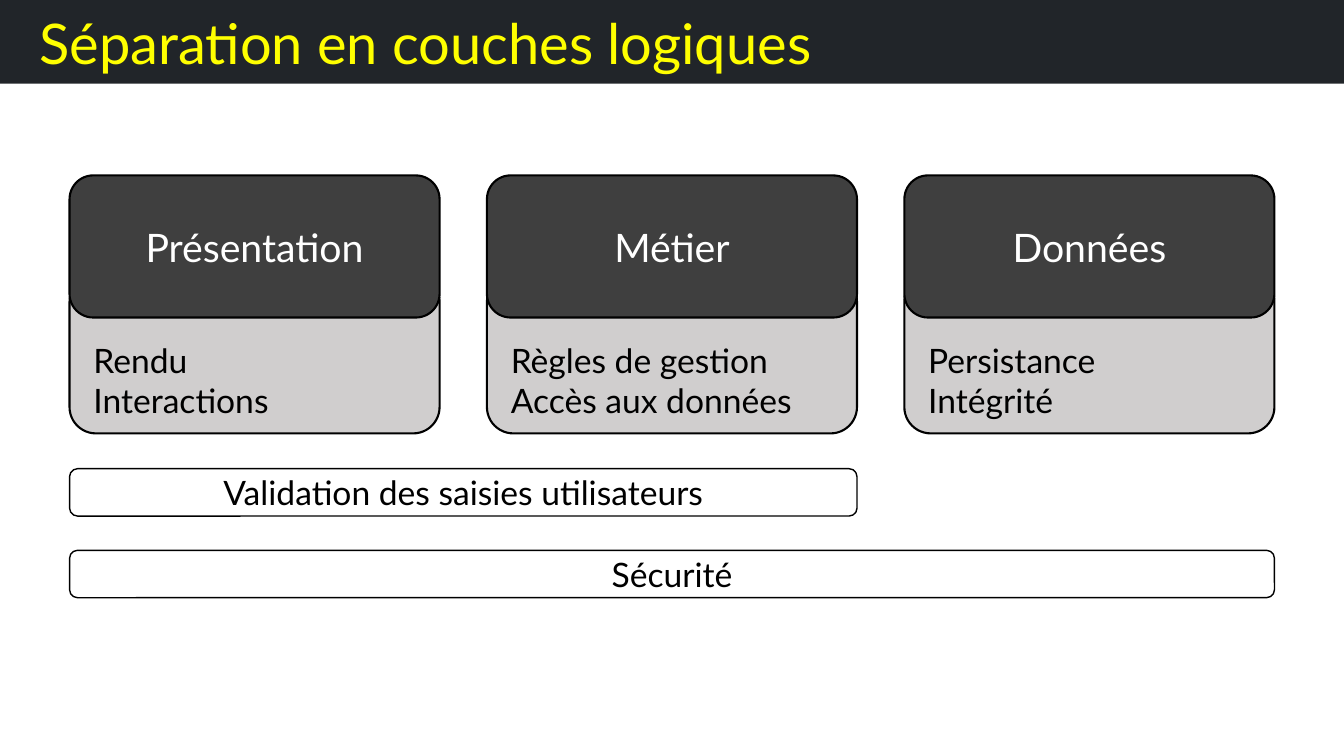
from pptx import Presentation
from pptx.dml.color import RGBColor
from pptx.enum.shapes import MSO_SHAPE
from pptx.enum.text import MSO_ANCHOR, MSO_AUTO_SIZE, PP_ALIGN
from pptx.util import Inches, Pt

COLORS = {
    "band": "212529", "title": "FFFF00", "header": "3F3F3F", "detail": "D0CECE",
    "white": "FFFFFF", "black": "000000",
}
FONT = "Lato"
WIDTH, HEIGHT = 13.33, 7.5
LEFT, COLUMN, GAP = 0.69, 3.67, 0.47
HEADER_TOP, HEADER_HEIGHT = 1.74, 1.41
DETAIL_TOP, DETAIL_HEIGHT = 2.73, 1.57
BAR_TOP, BAR_STEP, BAR_HEIGHT = 4.65, 0.81, 0.47

LAYERS = [
    ("Présentation", ["Rendu", "Interactions"]),
    ("Métier", ["Règles de gestion", "Accès aux données"]),
    ("Données", ["Persistance", "Intégrité"]),
]
BARS = [("Validation des saisies utilisateurs", 2), ("Sécurité", 3)]


def rgb(name):
    return RGBColor.from_string(COLORS[name])


def column_left(index):
    return LEFT + index * (COLUMN + GAP)


def span_width(columns):
    return columns * COLUMN + (columns - 1) * GAP


def write(tf, lines, size, color, align, anchor, insets):
    tf.word_wrap = True
    tf.auto_size = MSO_AUTO_SIZE.NONE
    tf.vertical_anchor = anchor
    tf.margin_left, tf.margin_top, tf.margin_right, tf.margin_bottom = map(Inches, insets)
    tf.text = "\n".join(lines)
    for p in tf.paragraphs:
        p.alignment = align
        p.font.name = FONT
        p.font.size = Pt(size)
        p.font.color.rgb = rgb(color)


def add_title(s, text):
    sp = s.shapes.title
    sp.left, sp.top, sp.width, sp.height = map(Inches, (0, 0, WIDTH, 0.83))
    sp.fill.solid()
    sp.fill.fore_color.rgb = rgb("band")
    write(sp.text_frame, [text], 40, "title", PP_ALIGN.LEFT, MSO_ANCHOR.TOP,
          (0.39, 0.08, 0.39, 0.08))


def add_box(s, column, columns, top, height, lines, fill, color="black", size=24,
            line=1.5, align=PP_ALIGN.CENTER, anchor=MSO_ANCHOR.MIDDLE, inset=0.1):
    sp = s.shapes.add_shape(
        MSO_SHAPE.ROUNDED_RECTANGLE, Inches(column_left(column)), Inches(top),
        Inches(span_width(columns)), Inches(height))
    sp.shadow.inherit = False
    sp.fill.solid()
    sp.fill.fore_color.rgb = rgb(fill)
    sp.line.color.rgb = rgb("black")
    sp.line.width = Pt(line)
    write(sp.text_frame, lines, size, color, align, anchor, (inset, 0.05, 0.1, 0.05))


def add_layer(s, column, name, details):
    add_box(s, column, 1, DETAIL_TOP, DETAIL_HEIGHT, details, "detail",
            align=PP_ALIGN.LEFT, anchor=MSO_ANCHOR.BOTTOM, inset=0.16)
    add_box(s, column, 1, HEADER_TOP, HEADER_HEIGHT, [name], "header", "white", 28)


def main():
    prs = Presentation()
    prs.slide_width, prs.slide_height = Inches(WIDTH), Inches(HEIGHT)
    s = prs.slides.add_slide(prs.slide_layouts[5])
    add_title(s, "Séparation en couches logiques")
    for row, (text, columns) in enumerate(BARS):
        add_box(s, 0, columns, BAR_TOP + row * BAR_STEP, BAR_HEIGHT, [text], "white", line=1)
    for column, (name, details) in enumerate(LAYERS):
        add_layer(s, column, name, details)
    prs.save("out.pptx")


if __name__ == "__main__":
    main()
